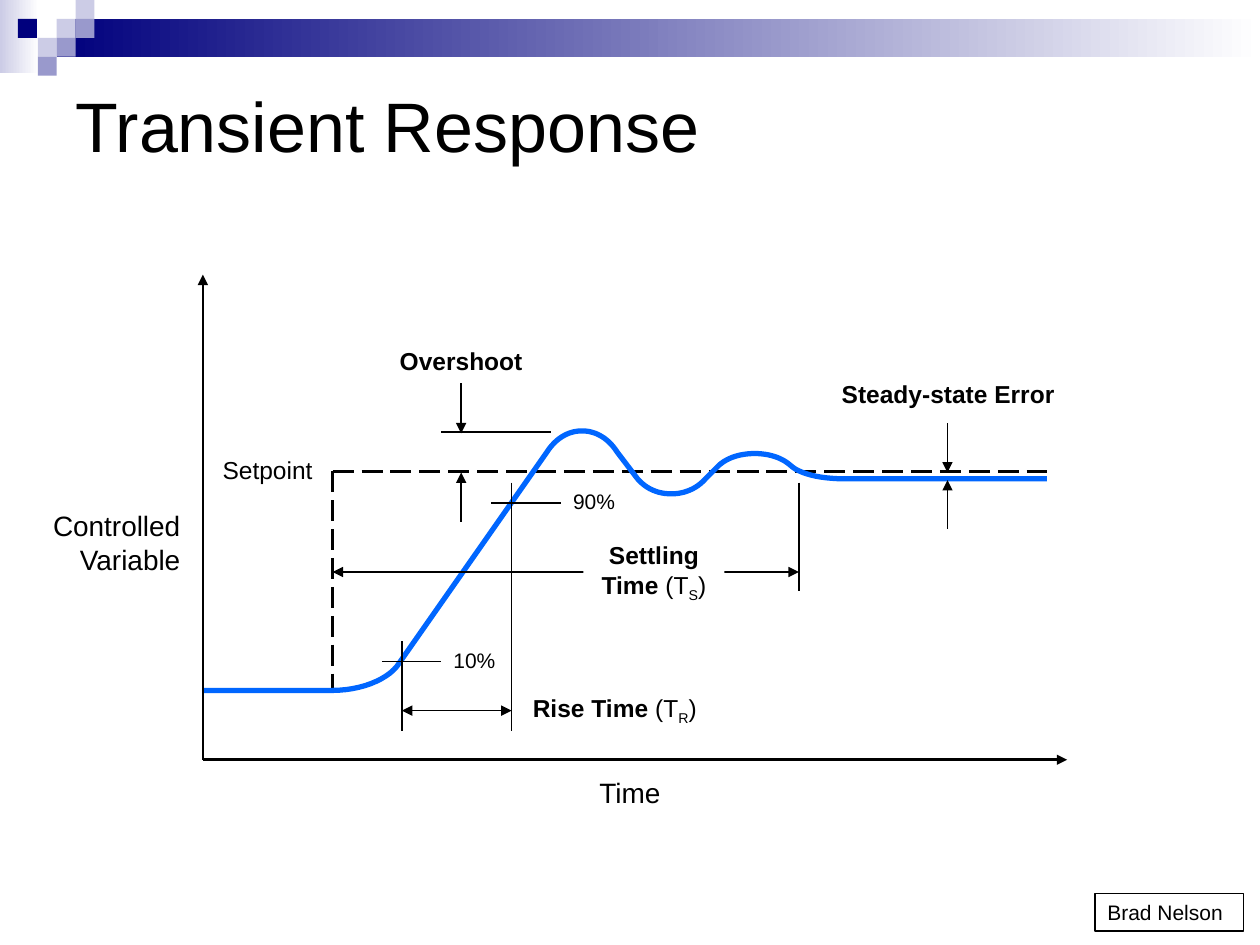
"""Build the transient response slide."""
from pptx import Presentation
from pptx import util as u
from pptx.dml.color import RGBColor
from pptx.enum import dml, shapes, text
from pptx.oxml.ns import qn
from lxml import etree

BLACK = RGBColor(0, 0, 0)
WHITE = RGBColor(255, 255, 255)
BLUE = RGBColor(0, 0x66, 0xFF)
NAVY = RGBColor(0, 0, 0x7D)
PALE = RGBColor(0xCC, 0xCC, 0xE6)
LILAC = RGBColor(0x99, 0x99, 0xCC)
LEFT, MID, RIGHT = text.PP_ALIGN.LEFT, text.PP_ALIGN.CENTER, text.PP_ALIGN.RIGHT

deck = Presentation()
deck.slide_width, deck.slide_height = u.Inches(10), u.Inches(7.5)
slide = deck.slides.add_slide(deck.slide_layouts[5])
items = slide.shapes


def block(x, y, w, h, fill=None):
    """Add a rectangle without outline."""
    box = items.add_shape(shapes.MSO_SHAPE.RECTANGLE, *map(u.Inches, (x, y, w, h)))
    box.shadow.inherit = False
    box.line.fill.background()
    if fill is None:
        box.fill.background()
    else:
        box.fill.solid()
        box.fill.fore_color.rgb = fill
    return box


def rule(x1, y1, x2, y2, width=1, ends=(), dash=None):
    """Add a black line with optional arrowheads."""
    line = items.add_connector(
        shapes.MSO_CONNECTOR.STRAIGHT, *map(u.Inches, (x1, y1, x2, y2)))
    line.line.color.rgb = BLACK
    line.line.width = u.Pt(width)
    line.line.dash_style = dash
    pen = line.line._get_or_add_ln()
    for end in ends:
        etree.SubElement(pen, qn(f"a:{end}End"), type="triangle")
    etree.SubElement(line._element.spPr, qn("a:effectLst"))


for x, w, y, h, color in [(0, 0.31, 0, 0.58, PALE), (0.45, 9.55, 0.15, 0.3, NAVY)]:
    band = block(x, y, w, h, color)
    band.fill.gradient()
    band.fill.gradient_angle = 0
    for stop, tone in zip(band.fill.gradient_stops, (color, WHITE)):
        stop.color.rgb = tone

SIDE = 0.15
for col, row, color in [(3, 1, PALE), (4, 0, PALE), (4, 1, LILAC), (2, 2, PALE),
                        (0.95, 1, NAVY), (3, 2, LILAC), (2, 3, LILAC)]:
    block(col * SIDE, row * SIDE, SIDE, SIDE, color)

title = slide.shapes.title
place = {"left": 0.5, "top": 0.5, "width": 9, "height": 0.97}
for name, value in place.items():
    setattr(title, name, u.Inches(value))
title.text_frame.text = "Transient Response"
title.text_frame.vertical_anchor = text.MSO_ANCHOR.MIDDLE
head = title.text_frame.paragraphs[0]
head.alignment = LEFT
style = {"size": u.Pt(40), "name": "Arial", "bold": False}
for name, value in style.items():
    setattr(head.runs[0].font, name, value)
head.runs[0].font.color.rgb = BLACK

START, SET, BASE = 2.64, 3.74, 5.47
for ends in [(1.61, BASE, START, BASE), (START, SET, START, BASE),
             (START, SET, 8.31, SET)]:
    rule(*ends, width=1.5, dash=dml.MSO_LINE.LONG_DASH)

steps = [
    [(2.64, 5.48)],
    [(2.86, 5.48), (3.06, 5.4), (3.15, 5.29)],
    [(4.34, 3.59)],
    [(4.41, 3.48), (4.51, 3.42), (4.62, 3.42)],
    [(4.73, 3.42), (4.83, 3.48), (4.9, 3.59)],
    [(5.06, 3.8)],
    [(5.13, 3.88), (5.22, 3.92), (5.33, 3.92)],
    [(5.43, 3.92), (5.53, 3.88), (5.6, 3.8)],
    [(5.71, 3.69)],
    [(5.78, 3.63), (5.88, 3.6), (5.99, 3.6)],
    [(6.1, 3.6), (6.2, 3.63), (6.27, 3.69)],
    [(6.34, 3.76), (6.51, 3.8), (6.69, 3.8)],
    [(8.31, 3.8)],
]
COUNT = 12
spots = [(1.61, 5.48)]
for step in steps:
    if len(step) == 1:
        spots += step
        continue
    knots = [spots[-1], *step]
    for i in range(1, COUNT + 1):
        t = i / COUNT
        parts = ((1 - t) ** 3, 3 * t * (1 - t) ** 2, 3 * t * t * (1 - t), t ** 3)
        spots.append(tuple(sum(p * k[axis] for p, k in zip(parts, knots))
                           for axis in (0, 1)))
spots = [(u.Inches(x), u.Inches(y)) for x, y in spots]
pen = items.build_freeform(*spots[0])
pen.add_line_segments(spots[1:], close=False)
curve = pen.convert_to_shape()
curve.shadow.inherit = False
curve.fill.background()
curve.line.color.rgb = BLUE
curve.line.width = u.Pt(3)

rule(1.61, 2.18, 1.61, 6.03, 1.5, ["head"])
rule(1.61, 6.03, 8.47, 6.03, 1.5, ["tail"])
marks = [
    (START, 4.54, 6.34, 4.54, ["head", "tail"]),
    (6.34, 3.83, 6.34, 4.69, []),
    (3.5, 3.43, 4.37, 3.43, []),
    (3.66, 3.04, 3.66, 3.44, ["tail"]),
    (3.66, 3.75, 3.66, 4.14, ["head"]),
    (7.52, 3.36, 7.52, 3.75, ["tail"]),
    (7.52, 3.81, 7.52, 4.2, ["head"]),
    (3.19, 5.09, 3.19, 5.8, []),
    (4.06, 3.83, 4.06, 5.8, []),
    (3.19, 5.64, 4.06, 5.64, ["head", "tail"]),
    (3.03, 5.25, 3.5, 5.25, []),
    (3.9, 3.99, 4.45, 3.99, []),
]
for *ends, tips in marks:
    rule(*ends, ends=tips)

labels = [
    ((1.64, 3.56, 0.94, 0.33), 14, RIGHT, None, "", "Setpoint", ""),
    ((0.27, 3.99, 1.26, 0.64), 16, RIGHT, None, "", "Controlled Variable", ""),
    ((4.45, 6.11, 1.1, 0.37), 16, MID, None, "", "Time", ""),
    ((4.63, 4.24, 1.12, 0.57), 14, MID, WHITE, "Settling Time ", "(T", "S"),
    ((3.03, 2.7, 1.26, 0.33), 14, MID, None, "Overshoot", "", ""),
    ((6.58, 2.96, 1.89, 0.33), 14, MID, None, "Steady-state Error", "", ""),
    ((4.13, 5.45, 1.81, 0.33), 14, LEFT, WHITE, "Rise Time ", "(T", "R"),
    ((3.5, 5.09, 0.55, 0.3), 12, LEFT, None, "", "10%", ""),
    ((4.45, 3.83, 0.55, 0.3), 12, LEFT, None, "", "90%", ""),
    ((8.69, 7.09, 1.18, 0.3), 12, LEFT, None, "", "Brad Nelson", ""),
]
for spot, size, align, fill, strong, plain, sub in labels:
    if fill is None:
        label = items.add_textbox(*map(u.Inches, spot))
    else:
        label = block(*spot, fill)
    frame = label.text_frame
    frame.word_wrap = True
    frame.vertical_anchor = text.MSO_ANCHOR.TOP
    para = frame.paragraphs[0]
    para.alignment = align
    tail = ")" if sub else ""
    for words, bold, drop in [(strong, True, 0), (plain, False, 0),
                              (sub, False, -25000), (tail, False, 0)]:
        if not words:
            continue
        run = para.add_run()
        run.text = words
        style = {"size": u.Pt(size), "name": "Arial", "bold": bold}
        for name, value in style.items():
            setattr(run.font, name, value)
        run.font.color.rgb = BLACK
        if drop:
            run._r.get_or_add_rPr().set("baseline", str(drop))

label.line.color.rgb = BLACK
label.line.width = u.Pt(0.75)

deck.save("out.pptx")
